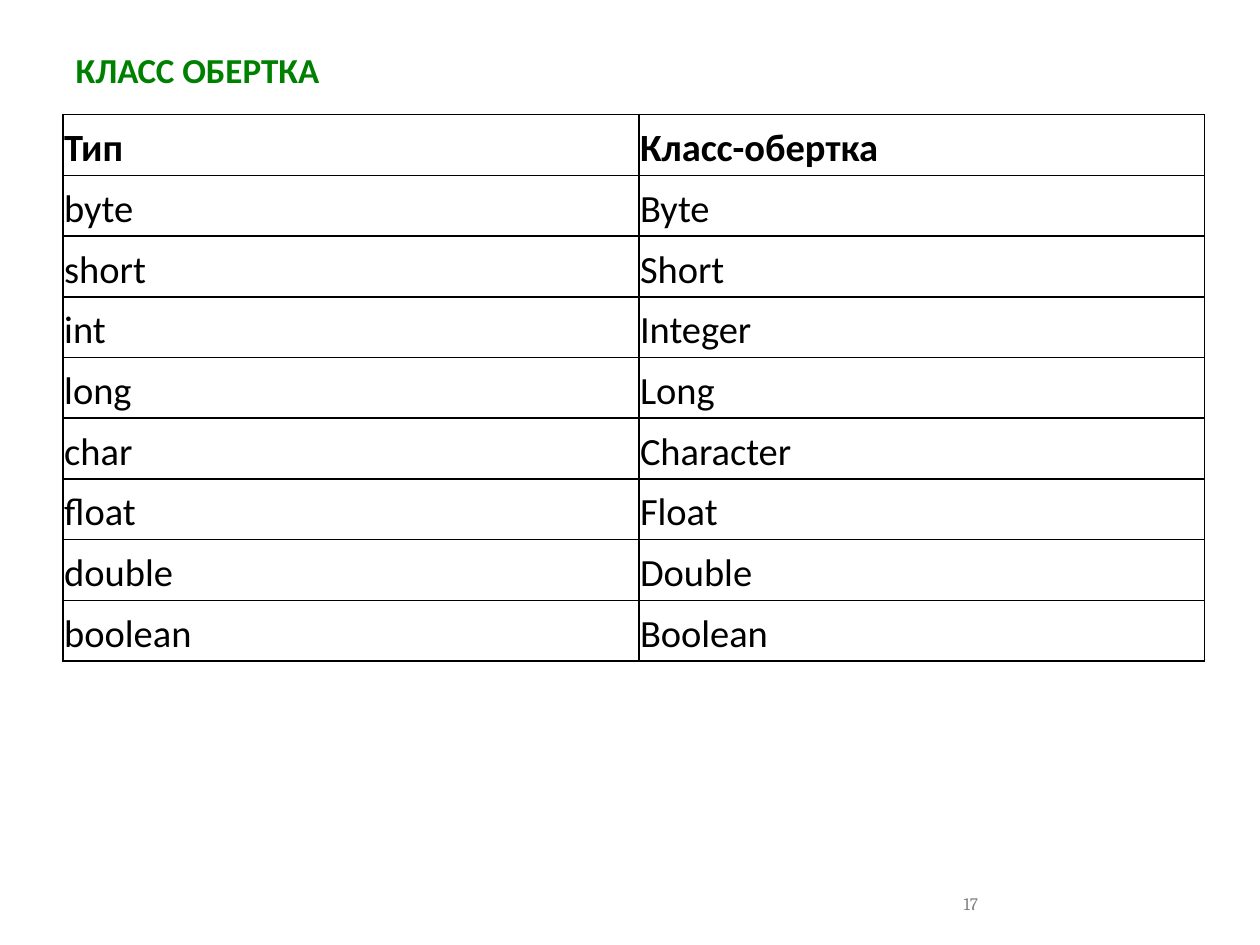
import lxml.etree
import pptx
import pptx.dml.color
import pptx.enum.text
import pptx.oxml.ns
import pptx.util

GREEN, GREY, BLACK = "008000", "808080", "000000"
TITLE_ONLY = 5
MIDDLE = pptx.enum.text.MSO_ANCHOR.MIDDLE
WRAPPERS = [
    ("Тип", "Класс-обертка"),
    ("byte", "Byte"),
    ("short", "Short"),
    ("int", "Integer"),
    ("long", "Long"),
    ("char", "Character"),
    ("float", "Float"),
    ("double", "Double"),
    ("boolean", "Boolean"),
]


def color(hex_string):
    return pptx.dml.color.RGBColor.from_string(hex_string)


def write(frame, text, size=22, font="Calibri", ink=BLACK, bold=False, spacing=1.0):
    para = frame.paragraphs[0]
    para.alignment = pptx.enum.text.PP_ALIGN.LEFT
    para.line_spacing = spacing
    span = para.add_run()
    span.text = text
    span.font.size = pptx.util.Pt(size)
    span.font.name = font
    span.font.bold = bold
    span.font.color.rgb = color(ink)


def add_borders(cell, ink=BLACK, width=1):
    properties = cell._tc.get_or_add_tcPr()
    for index, side in enumerate(("lnL", "lnR", "lnT", "lnB")):
        line = lxml.etree.Element(pptx.oxml.ns.qn(f"a:{side}"), w=str(pptx.util.Pt(width)))
        fill = lxml.etree.SubElement(line, pptx.oxml.ns.qn("a:solidFill"))
        lxml.etree.SubElement(fill, pptx.oxml.ns.qn("a:srgbClr"), val=ink)
        properties.insert(index, line)


class Page:
    """One slide on a grid of 100 columns by 75 rows."""

    COLUMNS, ROWS = 100, 75

    def __init__(self, deck):
        self.column = deck.slide_width / self.COLUMNS
        self.row = deck.slide_height / self.ROWS
        self.slide = deck.slides.add_slide(deck.slide_layouts[TITLE_ONLY])

    def place(self, left, top, width, height):
        return (round(left * self.column), round(top * self.row),
                round(width * self.column), round(height * self.row))

    def title(self, text, *area, **style):
        box = self.slide.shapes.title
        box.left, box.top, box.width, box.height = self.place(*area)
        box.text_frame.vertical_anchor = MIDDLE
        write(box.text_frame, text, **style)

    def text(self, text, *area, **style):
        box = self.slide.shapes.add_textbox(*self.place(*area))
        box.text_frame.word_wrap = True
        box.text_frame.vertical_anchor = MIDDLE
        write(box.text_frame, text, **style)

    def table(self, rows, left, top, widths, height):
        area = self.place(left, top, sum(widths), height)
        table = self.slide.shapes.add_table(len(rows), len(widths), *area).table
        for column, width in zip(table.columns, widths):
            column.width = round(width * self.column)
        for index, values in enumerate(rows):
            for cell, text in zip(table.rows[index].cells, values):
                self.cell(cell, text, bold=index == 0)

    def cell(self, cell, text, bold):
        inset = pptx.util.Inches(0.01)
        cell.margin_left = cell.margin_right = inset
        cell.margin_top = cell.margin_bottom = inset
        cell.vertical_anchor = MIDDLE
        cell.fill.background()
        add_borders(cell)
        write(cell.text_frame, text, bold=bold, spacing=1.15)


def main():
    deck = pptx.Presentation()
    deck.slide_width = pptx.util.Inches(10)
    deck.slide_height = pptx.util.Inches(7.5)
    page = Page(deck)
    page.title("КЛАСС ОБЕРТКА", 5, 3.8, 81.2, 3.8, size=20, ink=GREEN, bold=True, spacing=0.9)
    page.text("17", 75.5, 69.7, 23.3, 4, size=10, font="Cambria", ink=GREY)
    page.table(WRAPPERS, 5, 9.1, widths=(45.7, 44.9), height=43.4)
    deck.save("out.pptx")


if __name__ == "__main__":
    main()
